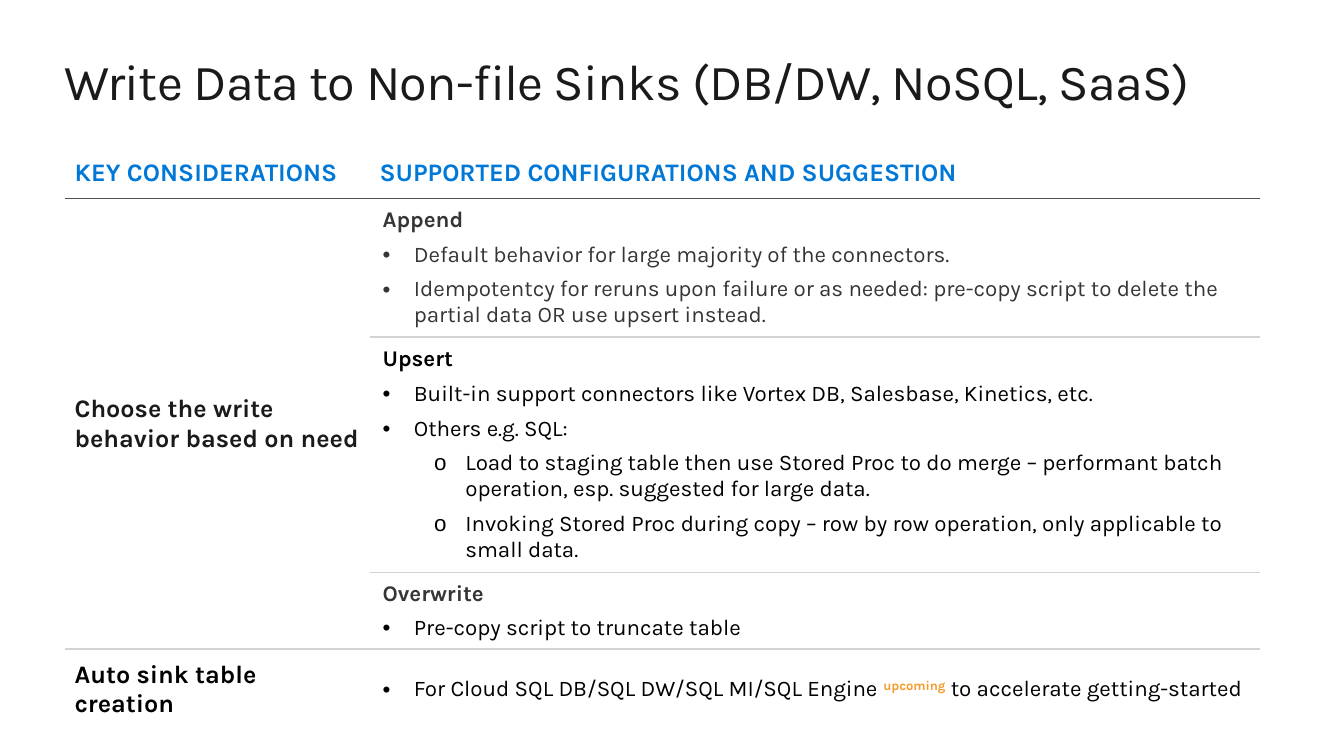
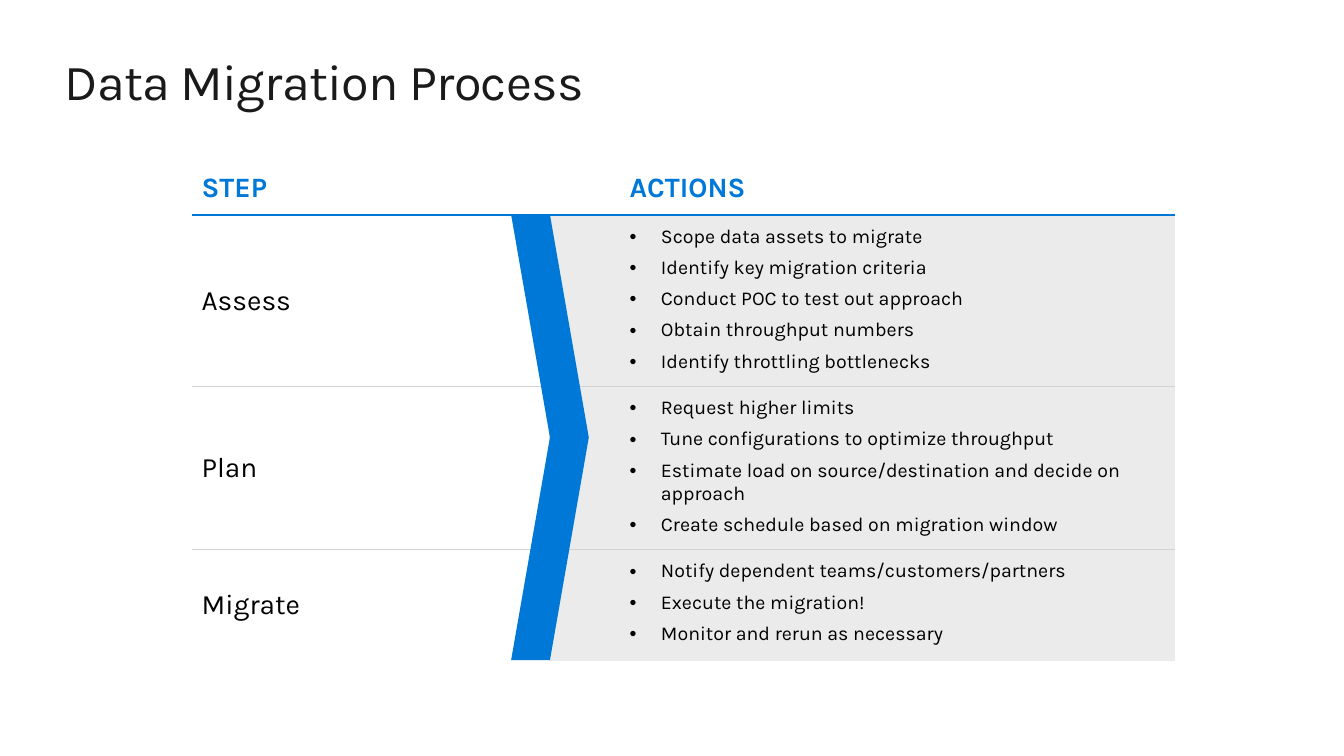
from lxml import etree
from pptx import Presentation
from pptx import util as u
from pptx.dml.color import RGBColor
from pptx.enum import shapes, text
from pptx.oxml import ns

FONT = "Karla"
BLUE = RGBColor(0x00, 0x78, 0xD7)
INK = RGBColor(0x1A, 0x1A, 0x1A)
BLACK = RGBColor(0x00, 0x00, 0x00)
CHARCOAL = RGBColor(0x35, 0x35, 0x35)
RULE = RGBColor(0x50, 0x50, 0x50)
SILVER = RGBColor(0xD2, 0xD2, 0xD2)
MIST = RGBColor(0xEB, 0xEB, 0xEB)
WHITE = RGBColor(0xFF, 0xFF, 0xFF)
ORANGE = RGBColor(0xF7, 0x9A, 0x29)
NO_STYLE = "{2D5ABB26-0587-4C30-8999-92F81FD0307C}"
BULLETS = {"•": (0, 0.31), "o": (1, 0.82)}
HANG = 0.31


def add_text(p, content, size=16, color=BLACK, bold=False, **attrs):
    """Append a formatted run to a paragraph."""
    r = p.add_run()
    r.text = content
    r.font.name, r.font.size, r.font.bold = FONT, u.Pt(size), bold
    r.font.color.rgb = color
    for name, value in attrs.items():
        r.font._element.set(name, str(value))


class Deck:
    """Hold the style, a grid of 100 columns by 100 rows and the current slide."""

    def __init__(self):
        self.prs = Presentation()
        self.prs.slide_width, self.prs.slide_height = u.Inches(13.33), u.Inches(7.5)
        self.s = None

    def cols(self, n):
        """Return the width of n grid columns."""
        return round(self.prs.slide_width * n / 100)

    def rows(self, n):
        """Return the height of n grid rows."""
        return round(self.prs.slide_height * n / 100)

    def box(self, x, y, w, h):
        """Return a grid box as slide lengths."""
        return self.cols(x), self.rows(y), self.cols(w), self.rows(h)

    def slide(self, title):
        """Start a slide with its title."""
        self.s = self.prs.slides.add_slide(self.prs.slide_layouts[6])
        tf = self.s.shapes.add_textbox(*self.box(4.8, 6.67, 90.4, 8.13)).text_frame
        tf.word_wrap = True
        tf.margin_left = tf.margin_right = tf.margin_top = tf.margin_bottom = 0
        add_text(tf.paragraphs[0], title, 36, INK, spc=-50)

    def table(self, x, y, widths, heights):
        """Add a plain table sized by its columns and rows."""
        frame = self.s.shapes.add_table(len(heights), len(widths),
                                        *self.box(x, y, sum(widths), sum(heights)))
        table = frame.table
        table.first_row = table.horz_banding = False
        table._tbl.tblPr.find(ns.qn("a:tableStyleId")).text = NO_STYLE
        for column, width in zip(table.columns, widths):
            column.width = self.cols(width)
        for row, height in zip(table.rows, heights):
            row.height = self.rows(height)
        return table

    def cell(self, cell, paragraphs, fill=None, left=0.1, pad=0.1, right=0.1,
             anchor=text.MSO_ANCHOR.MIDDLE, after=0, **style):
        """Fill a cell with (bullet, runs) paragraphs, each run being (text, format)."""
        cell.margin_left, cell.margin_right = u.Inches(left), u.Inches(right)
        cell.margin_top = cell.margin_bottom = u.Inches(pad)
        cell.vertical_anchor = anchor
        if fill is None:
            cell.fill.background()
        else:
            cell.fill.solid()
            cell.fill.fore_color.rgb = fill
        tf = cell.text_frame
        for i, (bullet, runs) in enumerate(paragraphs):
            p = tf.add_paragraph() if i else tf.paragraphs[0]
            if bullet:
                self.bullet(p, bullet)
            p.space_after = u.Pt(after)
            for content, extra in runs:
                add_text(p, content, **{**style, **extra})

    def bullet(self, p, mark):
        """Give a paragraph a hanging bullet."""
        p.level, margin = BULLETS[mark]
        pPr = p._p.get_or_add_pPr()
        pPr.set("marL", str(u.Inches(margin)))
        pPr.set("indent", str(-u.Inches(HANG)))
        etree.SubElement(pPr, ns.qn("a:buFont"), typeface="Arial")
        etree.SubElement(pPr, ns.qn("a:buChar"), char=mark)

    def rules(self, table, head):
        """Draw lines between rows, the one under the heading in its own colour."""
        for row in reversed(range(len(table.rows) - 1)):
            for col in range(len(table.columns)):
                below = table.cell(row + 1, col)
                if not below.is_spanned:
                    color = SILVER if row else head
                    self.edge(table.cell(row, col), "a:lnB", color)
                    self.edge(below, "a:lnT", color)

    def edge(self, cell, side, color):
        """Draw one edge of a cell."""
        ln = etree.Element(ns.qn(side), w=str(u.Pt(1)))
        fill = etree.SubElement(ln, ns.qn("a:solidFill"))
        etree.SubElement(fill, ns.qn("a:srgbClr"), val=str(color))
        cell._tc.get_or_add_tcPr().insert(0, ln)

    def chevron(self, *box):
        """Add a blue chevron."""
        sp = self.s.shapes.add_shape(shapes.MSO_SHAPE.CHEVRON, *self.box(*box))
        sp.shadow.inherit = False
        sp.fill.solid()
        sp.fill.fore_color.rgb = BLUE
        sp.line.fill.background()


def plain(content, bullet=None, **extra):
    """Return a paragraph of one run."""
    return bullet, [(content, extra)]


def sinks_slide(deck):
    """Build the slide on write behaviours."""
    deck.slide("Write Data to Non-file Sinks (DB/DW, NoSQL, SaaS)")
    table = deck.table(4.8, 19.6, [22.7, 66.25], [6.5, 17.87, 30.5, 9.8, 10.3])
    table.cell(1, 0).merge(table.cell(3, 0))
    for col, head in enumerate(["KEY CONSIDERATIONS", "SUPPORTED CONFIGURATIONS AND SUGGESTION"]):
        deck.cell(table.cell(0, col), [plain(head)], size=18, color=BLUE, bold=True)
    for row, label, color in [(1, "Choose the write behavior based on need", INK),
                              (4, "Auto sink table creation", BLACK)]:
        deck.cell(table.cell(row, 0), [plain(label)], WHITE, size=18, color=color, bold=True)
    details = [
        [plain("Append", color=CHARCOAL, bold=True),
         plain("Default behavior for large majority of the connectors.", "•", color=CHARCOAL),
         plain("Idempotentcy for reruns upon failure or as needed: pre-copy script to delete the "
               "partial data OR use upsert instead.", "•", color=CHARCOAL)],
        [plain("Upsert", bold=True),
         plain("Built-in support connectors like Vortex DB, Salesbase, Kinetics, etc.", "•"),
         plain("Others e.g. SQL:", "•"),
         plain("Load to staging table then use Stored Proc to do merge – performant batch "
               "operation, esp. suggested for large data.", "o"),
         plain("Invoking Stored Proc during copy – row by row operation, only applicable to "
               "small data.", "o")],
        [plain("Overwrite", color=CHARCOAL, bold=True),
         plain("Pre-copy script to truncate table", "•")],
        [("•", [("For Cloud SQL DB/SQL DW/SQL MI/SQL Engine ", {}),
                ("upcoming", {"color": ORANGE, "bold": True, "baseline": 30000}),
                (" to accelerate getting-started", {})])],
    ]
    for row, paragraphs in enumerate(details, 1):
        deck.cell(table.cell(row, 1), paragraphs, WHITE, left=0.13, pad=0.07, right=0.13, after=6)
    deck.rules(table, RULE)


def migration_slide(deck):
    """Build the slide on migration steps."""
    deck.slide("Data Migration Process")
    table = deck.table(14.25, 21.33, [26.6, 46.6], [7, 22.2, 21.1, 14.7])
    for col, (head, left) in enumerate([("STEP", 0.1), ("ACTIONS", 0.8)]):
        deck.cell(table.cell(0, col), [plain(head)], left=left, size=20, color=BLUE, bold=True)
    steps = {
        "Assess": ["Scope data assets to migrate", "Identify key migration criteria",
                   "Conduct POC to test out approach", "Obtain throughput numbers",
                   "Identify throttling bottlenecks"],
        "Plan": ["Request higher limits", "Tune configurations to optimize throughput",
                 "Estimate load on source/destination and decide on approach",
                 "Create schedule based on migration window"],
        "Migrate": ["Notify dependent teams/customers/partners", "Execute the migration!",
                    "Monitor and rerun as necessary"],
    }
    for row, (step, actions) in enumerate(steps.items(), 1):
        deck.cell(table.cell(row, 0), [plain(step)], after=6, size=20)
        deck.cell(table.cell(row, 1), [plain(action, "•") for action in actions], MIST,
                  left=0.8, anchor=text.MSO_ANCHOR.TOP, after=6, size=14)
    deck.rules(table, BLUE)
    deck.chevron(38.03, 28.4, 5.78, 58.93)


def main():
    """Build and save the deck."""
    deck = Deck()
    sinks_slide(deck)
    migration_slide(deck)
    deck.prs.save("out.pptx")


if __name__ == "__main__":
    main()
